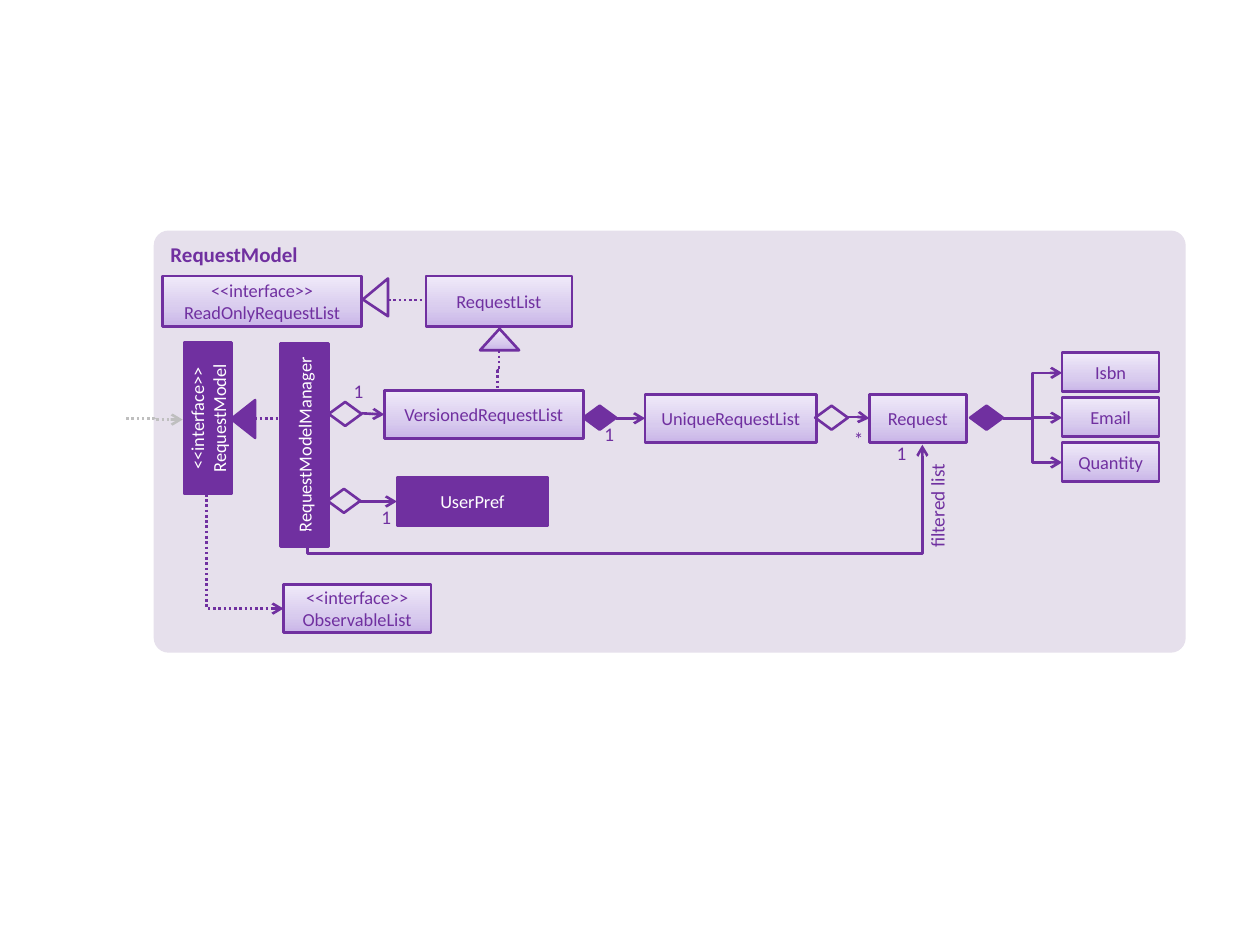
import copy
import math
import lxml.etree
import pptx
import pptx.dml.color
import pptx.enum.dml
import pptx.enum.shapes
import pptx.enum.text
import pptx.oxml.ns
import pptx.util

Inches = pptx.util.Inches
Pt = pptx.util.Pt
Shape = pptx.enum.shapes.MSO_SHAPE
Connector = pptx.enum.shapes.MSO_CONNECTOR
Align = pptx.enum.text.PP_ALIGN
Anchor = pptx.enum.text.MSO_ANCHOR
qn = pptx.oxml.ns.qn

PURPLE, PANEL, WHITE, GREY = "7030A0", "E6E0EC", "FFFFFF", "BFBFBF"
LILAC = [(0, "C9B5E8"), (0.35, "D8CBEE"), (1, "F0EAF9")]


def rgb(color):
    return pptx.dml.color.RGBColor.from_string(color)


def write(shape, text, size=10.5, color=PURPLE, bold=False, align=Align.CENTER,
          anchor=Anchor.MIDDLE, inset=None):
    """Put formatted text in a shape; a vertical tab makes a line break."""
    frame = shape.text_frame
    frame.text = text
    frame.word_wrap = True
    frame.vertical_anchor = anchor
    if inset is not None:
        frame.margin_left = frame.margin_right = Inches(inset)
        frame.margin_top = frame.margin_bottom = Inches(inset)
    for para in frame.paragraphs:
        para.alignment = align
        for span in para.runs:
            span.font.name = "Calibri"
            span.font.size = Pt(size)
            span.font.bold = bold
            span.font.color.rgb = rgb(color)
        for line_break in para._p.findall(qn("a:br")):
            lxml.etree.SubElement(line_break, qn("a:rPr"), sz=str(int(size * 100)))


class Diagram:
    def __init__(self, slide, line_width=1.5):
        self.slide = slide
        self.line_width = line_width

    def shape(self, kind, left, top, width, height, fill=None, line=PURPLE,
              rotation=0, adjust=None):
        shape = self.slide.shapes.add_shape(
            kind, Inches(left), Inches(top), Inches(width), Inches(height))
        shape.shadow.inherit = False
        shape.rotation = rotation
        if adjust is not None:
            shape.adjustments[0] = adjust
        if fill is None:
            shape.fill.background()
        elif fill is LILAC:
            self.shade(shape)
        else:
            shape.fill.solid()
            shape.fill.fore_color.rgb = rgb(fill)
        if line:
            shape.line.color.rgb = rgb(line)
            shape.line.width = Pt(self.line_width)
        else:
            shape.line.fill.background()
        return shape

    def shade(self, shape):
        """Three-stop gradient, light at the top."""
        shape.fill.gradient()
        shape.fill.gradient_angle = 90
        stop_list = shape._element.spPr.find(".//" + qn("a:gsLst"))
        stop_list.append(copy.deepcopy(stop_list[0]))
        for stop, (position, color) in zip(shape.fill.gradient_stops, LILAC):
            stop.position = position
            stop.color.rgb = rgb(color)

    def class_box(self, text, left, top, width, height=0.38, fill=LILAC, rotation=0):
        box = self.shape(Shape.RECTANGLE, left, top, width, height, fill,
                         rotation=rotation)
        write(box, text, color=PURPLE if fill is LILAC else WHITE)

    def diamond(self, left, top, fill=None):
        self.shape(Shape.FLOWCHART_DECISION, left, top, 0.26, 0.19, fill)

    def triangle(self, left, top, width, height, fill, **options):
        self.shape(Shape.ISOSCELES_TRIANGLE, left, top, width, height, fill, **options)

    def label(self, text, left, top, width=0.21, height=0.2, rotation=0, **text_format):
        box = self.slide.shapes.add_textbox(
            Inches(left), Inches(top), Inches(width), Inches(height))
        box.rotation = rotation
        write(box, text, size=11, anchor=Anchor.TOP, **text_format)

    def link(self, start, end, kind=Connector.ELBOW, color=PURPLE, dotted=False,
             arrow=True, rotation=0, bend=None, corner=False):
        """Connect two points; a rotated elbow is laid out unturned, then turned."""
        middle = [(a + b) / 2 for a, b in zip(start, end)]
        cos, sin = (f(math.radians(rotation)) for f in (math.cos, math.sin))
        ends = []
        for point in (start, end):
            x, y = point[0] - middle[0], point[1] - middle[1]
            ends += [Inches(middle[0] + x * cos + y * sin),
                     Inches(middle[1] - x * sin + y * cos)]
        line = self.slide.shapes.add_connector(kind, *ends)
        line.line.color.rgb = rgb(color)
        line.line.width = Pt(self.line_width)
        if dotted:
            line.line.dash_style = pptx.enum.dml.MSO_LINE.ROUND_DOT
        properties = line._element.spPr
        if rotation:
            properties.find(qn("a:xfrm")).set("rot", str(rotation * 60000))
        geometry = properties.find(qn("a:prstGeom"))
        if corner:
            geometry.set("prst", "bentConnector2")
        if bend is not None:
            lxml.etree.SubElement(geometry.find(qn("a:avLst")), qn("a:gd"),
                                  name="adj1", fmla=f"val {round(bend * 100000)}")
        if arrow:
            lxml.etree.SubElement(properties.find(qn("a:ln")), qn("a:tailEnd"),
                                  type="arrow")
        lxml.etree.SubElement(properties, qn("a:effectLst"))


deck = pptx.Presentation()
deck.slide_width, deck.slide_height = Inches(10), Inches(7.5)
diagram = Diagram(deck.slides.add_slide(deck.slide_layouts[6]))

# Component panel
panel = diagram.shape(Shape.ROUNDED_RECTANGLE, 1.22, 1.83, 8.19, 3.35, PANEL,
                      line=None, adjust=0.035)
write(panel, "RequestModel", size=12, bold=True, align=Align.LEFT, anchor=Anchor.TOP)

# Model interface and its manager
diagram.class_box("RequestModelManager", 1.61, 3.34, 1.61, fill=PURPLE, rotation=270)
diagram.class_box("<<interface>>\nRequestModel", 1.05, 3.13, 1.2, fill=PURPLE,
                  rotation=270)
diagram.triangle(1.78, 3.23, 0.3, 0.19, PURPLE, rotation=270)
diagram.link((2.02, 3.32), (2.26, 3.32), Connector.STRAIGHT, dotted=True, arrow=False)
diagram.link((1, 3.32), (1.45, 3.33), color=GREY, dotted=True)

# User preferences
diagram.class_box("UserPref", 3.15, 3.79, 1.2, fill=PURPLE)
diagram.diamond(2.6, 3.88)
diagram.link((2.85, 3.98), (3.15, 3.98), Connector.STRAIGHT)

# Chain of request lists
diagram.class_box("VersionedRequestList", 3.05, 3.1, 1.58)
diagram.class_box("UniqueRequestList", 5.12, 3.13, 1.36)
diagram.class_box("Request", 6.9, 3.13, 0.77)
diagram.link((2.87, 3.28), (3.05, 3.29), Connector.STRAIGHT)
diagram.link((4.89, 3.32), (5.12, 3.32))
diagram.link((6.73, 3.31), (6.9, 3.32))
diagram.diamond(2.61, 3.19)
diagram.diamond(4.63, 3.22, PURPLE)
diagram.diamond(6.47, 3.22)

# Fields of a request
diagram.diamond(7.7, 3.22, PURPLE)
for row, field in enumerate(["Isbn", "Email", "Quantity"]):
    top = 2.8 + row * 0.355
    diagram.class_box(field, 8.43, top, 0.77, 0.31)
    diagram.link((7.96, 3.32), (8.43, top + 0.16))

# Filtered list
diagram.link((2.44, 4.21), (7.32, 3.53), rotation=90, bend=-0.267)
diagram.label("filtered list", 6.96, 3.92, 0.96, 0.29, rotation=270, align=Align.RIGHT)

# Observable list
diagram.class_box("<<interface>>\vObservableList", 2.25, 4.64, 1.17)
diagram.link((1.64, 3.92), (2.25, 4.83), dotted=True, rotation=270, corner=True)

# List interfaces
diagram.class_box("<<interface>>\vReadOnlyRequestList", 1.29, 2.19, 1.58, 0.4)
diagram.class_box("RequestList", 3.38, 2.19, 1.16, 0.4)
diagram.link((3.96, 2.78), (3.95, 3.1), dotted=True, arrow=False, rotation=90)
diagram.triangle(3.81, 2.61, 0.31, 0.17, LILAC)
diagram.triangle(2.83, 2.26, 0.3, 0.2, PANEL, rotation=270, adjust=0.445)
diagram.link((3.08, 2.38), (3.38, 2.38), dotted=True, arrow=False)

# Multiplicities
for text, left, top in [("1", 4.73, 3.35), ("*", 6.71, 3.39), ("1", 2.74, 3.01),
                        ("1", 2.96, 4.01), ("1", 7.05, 3.5)]:
    diagram.label(text, left, top, inset=0)

deck.save("out.pptx")
